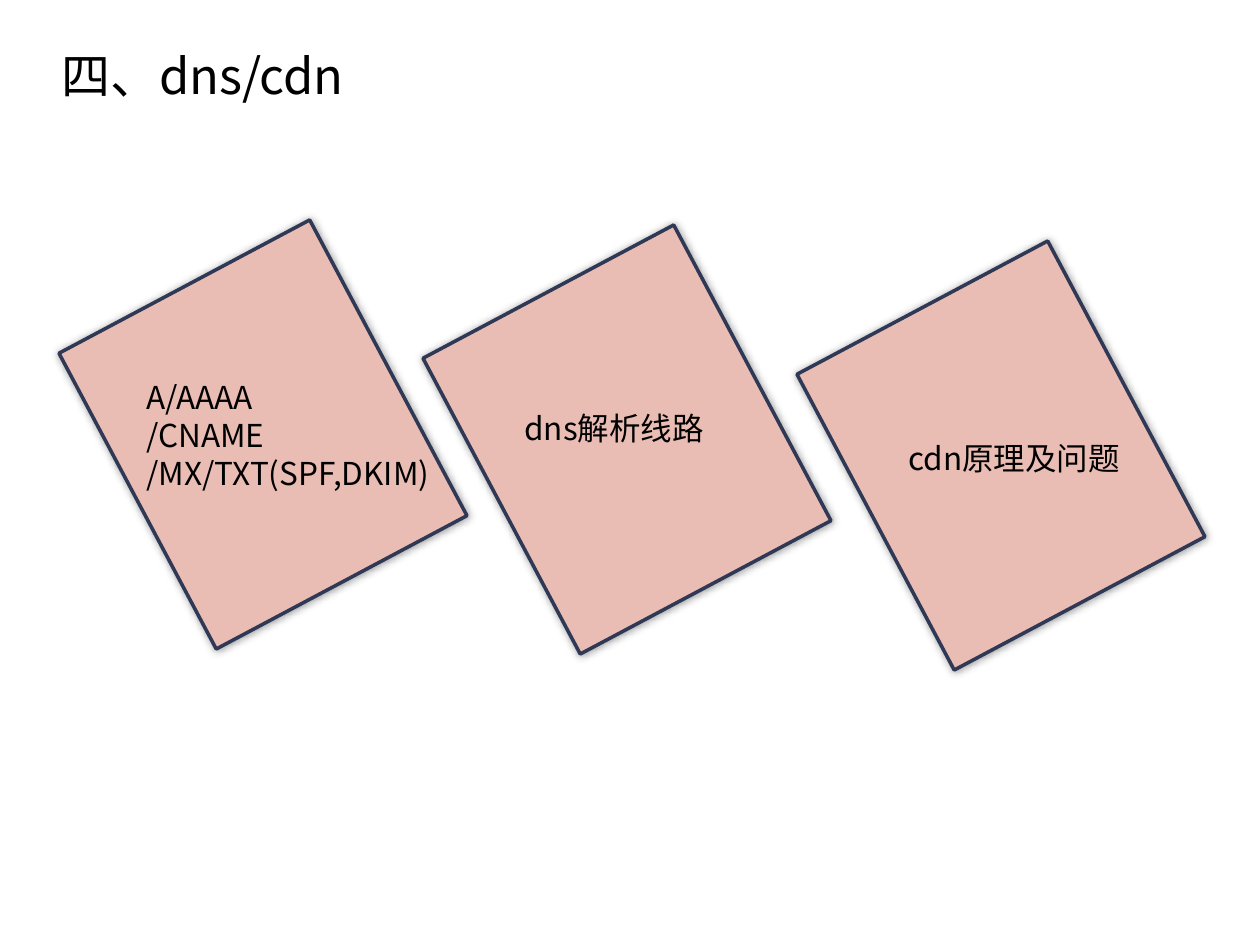
from lxml import etree
from pptx import Presentation
from pptx.dml.color import RGBColor
from pptx.enum.shapes import MSO_SHAPE
from pptx.enum.text import MSO_AUTO_SIZE
from pptx.oxml.ns import qn
from pptx.util import Emu, Pt

RECTANGLE = MSO_SHAPE.RECTANGLE
GROW = MSO_AUTO_SIZE.SHAPE_TO_FIT_TEXT
PX = 914400 / 126
FONT = "Noto Sans CJK SC"
CARD_SIZE = (284, 335)
CARD_CORNERS = [(121, 267), (485, 272), (859, 288)]
TEXTS = [
    ("四、dns/cdn", (49, 39, 316, 72), 28),
    ("dns解析线路", (512, 403, 208, 50), 18),
    ("cdn原理及问题", (896, 433, 241, 50), 18),
    ("A/AAAA\n/CNAME\n/MX/TXT(SPF,DKIM)", (134, 372, 328, 127), 18),
]


def px(*lengths):
    return [Emu(round(length * PX)) for length in lengths]


def color(value):
    return RGBColor.from_string(value)


def add_glow_shadow(shape):
    """Put a soft, unshifted black shadow around the shape."""
    shape.shadow.inherit = False
    effects = shape._element.spPr.find(qn("a:effectLst"))
    shadow = etree.SubElement(effects, qn("a:outerShdw"), blurRad="63500",
                              dist="0", dir="0", rotWithShape="0")
    black = etree.SubElement(shadow, qn("a:srgbClr"), val="000000")
    etree.SubElement(black, qn("a:alpha"), val="40000")


def add_card(page, corner):
    card = page.shapes.add_shape(RECTANGLE, *px(*corner, *CARD_SIZE))
    card.rotation = 332
    card.fill.solid()
    card.fill.fore_color.rgb = color("E9BDB3")
    card.line.color.rgb = color("2F3855")
    card.line.width = Pt(2)
    add_glow_shadow(card)


def add_text(page, text, place, size):
    box = page.shapes.add_textbox(*px(*place))
    frame = box.text_frame
    frame.word_wrap = True
    frame.auto_size = GROW
    frame.text = text
    for para in frame.paragraphs:
        for span in para.runs:
            span.font.size = Pt(size)
            span.font.name = FONT
            span.font.color.rgb = color("000000")
            etree.SubElement(span.font._element, qn("a:ea"), typeface=FONT)


def main():
    deck = Presentation()
    deck.slide_width, deck.slide_height = px(1260, 945)
    page = deck.slides.add_slide(deck.slide_layouts[6])
    for corner in CARD_CORNERS:
        add_card(page, corner)
    for text, place, size in TEXTS:
        add_text(page, text, place, size)
    deck.save("out.pptx")


if __name__ == "__main__":
    main()
